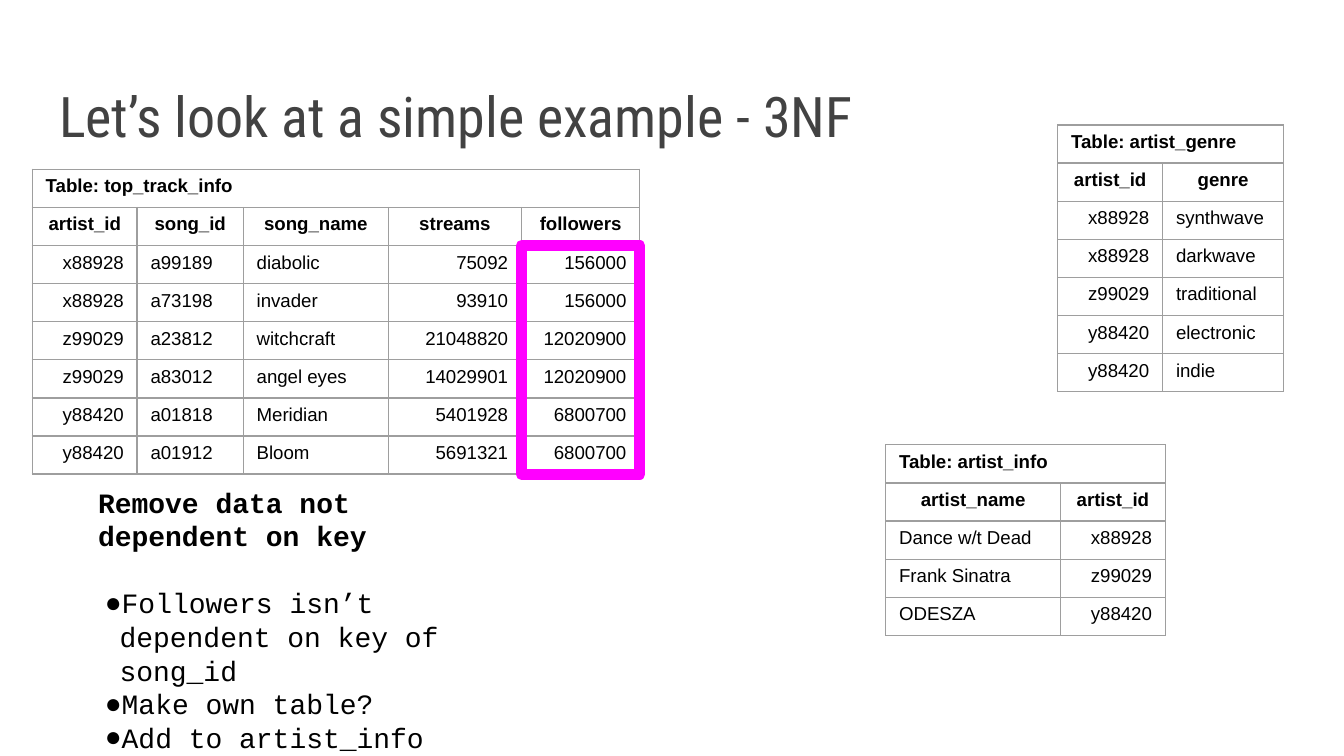
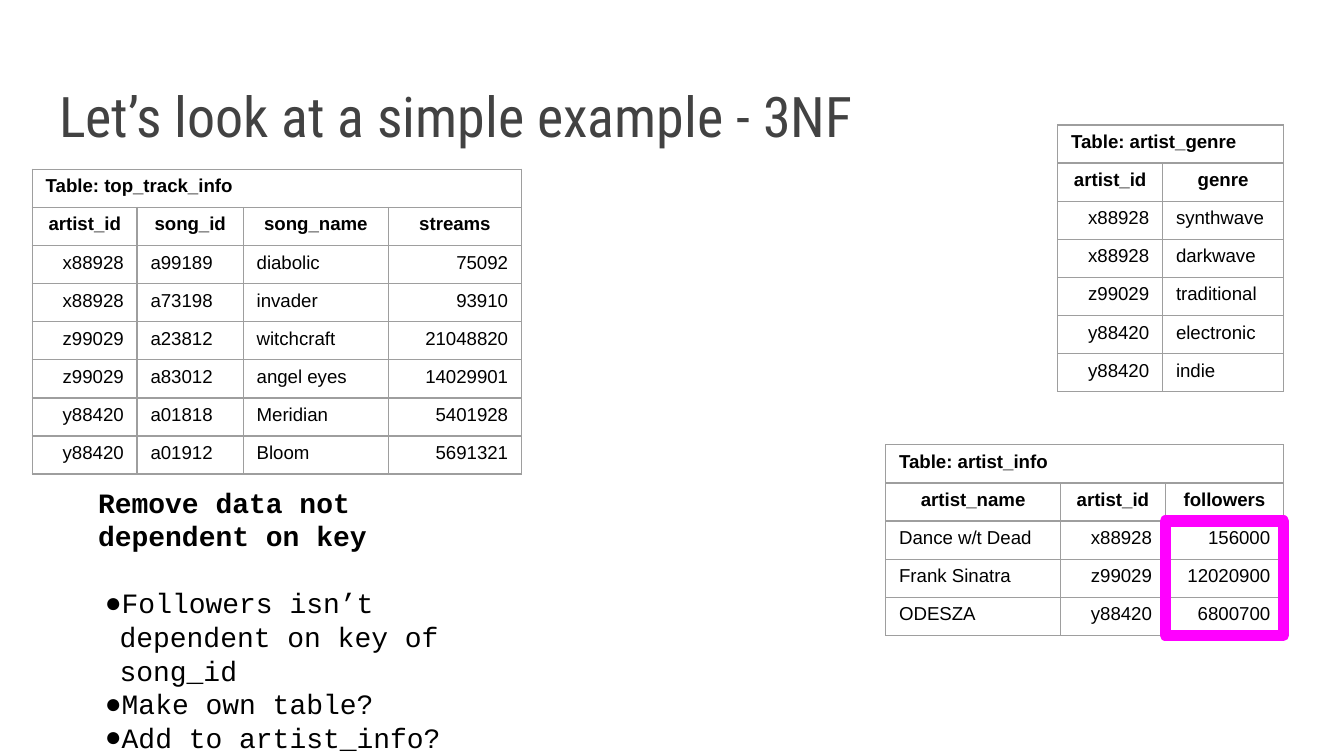
from lxml.etree import SubElement
from pptx import Presentation
from pptx.dml.color import RGBColor
from pptx.enum.shapes import MSO_SHAPE
from pptx.enum.text import MSO_ANCHOR, MSO_AUTO_SIZE, PP_ALIGN
from pptx.oxml.ns import qn
from pptx.util import Inches, Pt

WHITE = RGBColor(0xFF, 0xFF, 0xFF)
BLACK = RGBColor(0x00, 0x00, 0x00)
CHARCOAL = RGBColor(0x42, 0x42, 0x42)
GREY = RGBColor(0x9E, 0x9E, 0x9E)
MAGENTA = RGBColor(0xFF, 0x00, 0xFF)

TITLE = "Let’s look at a simple example - 3NF"
ROW_HEIGHT = Inches(2.27) // 8
COLUMN_WIDTHS = {
    "artist_id": 0.78, "song_id": 0.79, "song_name": 1.08, "streams": 0.99,
    "followers": 0.88, "genre": 0.9, "artist_name": 1.3,
}
RIGHT_ALIGNED = {"artist_id", "streams", "followers"}

TRACKS = {
    "artist_id": ["x88928", "x88928", "z99029", "z99029", "y88420", "y88420"],
    "song_id": ["a99189", "a73198", "a23812", "a83012", "a01818", "a01912"],
    "song_name": ["diabolic", "invader", "witchcraft", "angel eyes", "Meridian", "Bloom"],
    "streams": ["75092", "93910", "21048820", "14029901", "5401928", "5691321"],
}
TRACK_FOLLOWERS = ["156000", "156000", "12020900", "12020900", "6800700", "6800700"]
GENRES = {
    "artist_id": ["x88928", "x88928", "z99029", "y88420", "y88420"],
    "genre": ["synthwave", "darkwave", "traditional", "electronic", "indie"],
}
ARTISTS = {
    "artist_name": ["Dance w/t Dead", "Frank Sinatra", "ODESZA"],
    "artist_id": ["x88928", "z99029", "y88420"],
}
ARTIST_FOLLOWERS = ["156000", "12020900", "6800700"]


class Deck:
    title_font, list_font, table_font = "Roboto Condensed", "Courier New", "Arial"

    def __init__(self):
        self.prs = Presentation()
        self.prs.slide_width = Inches(10)
        self.prs.slide_height = Inches(10) * 9 // 16
        self.slide = None

    def add_run(self, p, text, font, size, color, bold=False):
        r = p.add_run()
        r.text = text
        r.font.name = font
        r.font.size = Pt(size)
        r.font.bold = bold
        r.font.color.rgb = color

    def place(self, sp, left, top, width, height, inset, anchor):
        sp.left, sp.top = Inches(left), Inches(top)
        sp.width, sp.height = Inches(width), Inches(height)
        tf = sp.text_frame
        tf.word_wrap = True
        tf.auto_size = MSO_AUTO_SIZE.NONE
        tf.vertical_anchor = anchor
        tf.margin_left = tf.margin_right = Inches(inset)
        tf.margin_top = tf.margin_bottom = Inches(inset)
        return tf

    def add_slide(self, title):
        self.slide = self.prs.slides.add_slide(self.prs.slide_layouts[1])
        tf = self.place(self.slide.shapes.title, 0.34, 0.41, 9.32, 0.8, 0.1, MSO_ANCHOR.BOTTOM)
        p = tf.paragraphs[0]
        p.alignment = PP_ALIGN.LEFT
        self.add_run(p, title, self.title_font, 30, CHARCOAL)

    def add_list(self, heading, items):
        tf = self.place(self.slide.placeholders[1], 0.71, 3.59, 2.64, 2.42, 0.02, MSO_ANCHOR.TOP)
        for i, text in enumerate([heading, *items]):
            p = tf.paragraphs[0] if i == 0 else tf.add_paragraph()
            pPr = p._p.get_or_add_pPr()
            pPr.set("marL", str(Inches(0.16) if i else 0))
            pPr.set("indent", str(-Inches(0.11) if i else 0))
            if i:
                color = SubElement(pPr, qn("a:buClr"))
                SubElement(color, qn("a:srgbClr"), val=str(BLACK))
                SubElement(pPr, qn("a:buChar"), char="●")
            else:
                SubElement(pPr, qn("a:buNone"))
            p.space_before = Pt(18 if i == 1 else 0)
            self.add_run(p, text, self.list_font, 15, BLACK, bold=i == 0)

    def add_borders(self, cell):
        tcPr = cell._tc.get_or_add_tcPr()
        for i, side in enumerate(("lnL", "lnR", "lnT", "lnB")):
            ln = SubElement(tcPr, qn(f"a:{side}"), w=str(Pt(0.75)))
            fill = SubElement(ln, qn("a:solidFill"))
            SubElement(fill, qn("a:srgbClr"), val=str(GREY))
            tcPr.insert(i, ln)

    def fill_cell(self, cell, text, align, bold):
        cell.margin_left = cell.margin_right = Inches(0.1)
        cell.margin_top = cell.margin_bottom = Inches(0.05)
        cell.fill.background()
        self.add_borders(cell)
        if text:
            p = cell.text_frame.paragraphs[0]
            p.alignment = align
            self.add_run(p, text, self.table_font, 10, BLACK, bold)

    def add_table(self, name, left, top, columns):
        widths = [Inches(COLUMN_WIDTHS[c]) for c in columns]
        rows = 2 + len(next(iter(columns.values())))
        table = self.slide.shapes.add_table(
            rows, len(columns), Inches(left), Inches(top), sum(widths), ROW_HEIGHT * rows).table
        table.first_row = table.horz_banding = False
        for row in table.rows:
            row.height = ROW_HEIGHT
        for i, (column, values) in enumerate(columns.items()):
            table.columns[i].width = widths[i]
            caption = f"Table: {name}" if i == 0 else ""
            self.fill_cell(table.cell(0, i), caption, PP_ALIGN.LEFT, True)
            self.fill_cell(table.cell(1, i), column, PP_ALIGN.CENTER, True)
            align = PP_ALIGN.RIGHT if column in RIGHT_ALIGNED else PP_ALIGN.LEFT
            for j, value in enumerate(values, start=2):
                self.fill_cell(table.cell(j, i), value, align, False)
        caption_cell = table.cell(0, 0)
        caption_cell.merge(table.cell(0, len(columns) - 1))
        caption_cell.fill.solid()
        caption_cell.fill.fore_color.rgb = WHITE

    def add_highlight(self, left, top, columns):
        *before, last = columns
        x = Inches(left) + sum(Inches(COLUMN_WIDTHS[c]) for c in before)
        sp = self.slide.shapes.add_shape(
            MSO_SHAPE.RECTANGLE, x, Inches(top) + 2 * ROW_HEIGHT,
            Inches(COLUMN_WIDTHS[last]), ROW_HEIGHT * len(columns[last]))
        sp.shadow.inherit = False
        sp.fill.background()
        sp.line.color.rgb = MAGENTA
        sp.line.width = Pt(6)
        SubElement(sp.line._get_or_add_ln(), qn("a:round"))


def add_example(deck, tracks, artists, last_item, highlighted):
    deck.add_slide(TITLE)
    deck.add_list("Remove data not dependent on key", [
        "Followers isn’t dependent on key of song_id", "Make own table?", last_item])
    tables = {
        "artist_genre": (7.87, 0.93, GENRES),
        "artist_info": (6.59, 3.31, artists),
        "top_track_info": (0.24, 1.26, tracks),
    }
    for name, layout in tables.items():
        deck.add_table(name, *layout)
    deck.add_highlight(*tables[highlighted])


def main():
    deck = Deck()
    add_example(deck, {**TRACKS, "followers": TRACK_FOLLOWERS}, ARTISTS,
                "Add to artist_info", "top_track_info")
    add_example(deck, TRACKS, {**ARTISTS, "followers": ARTIST_FOLLOWERS},
                "Add to artist_info?", "artist_info")
    deck.prs.save("out.pptx")


if __name__ == "__main__":
    main()
